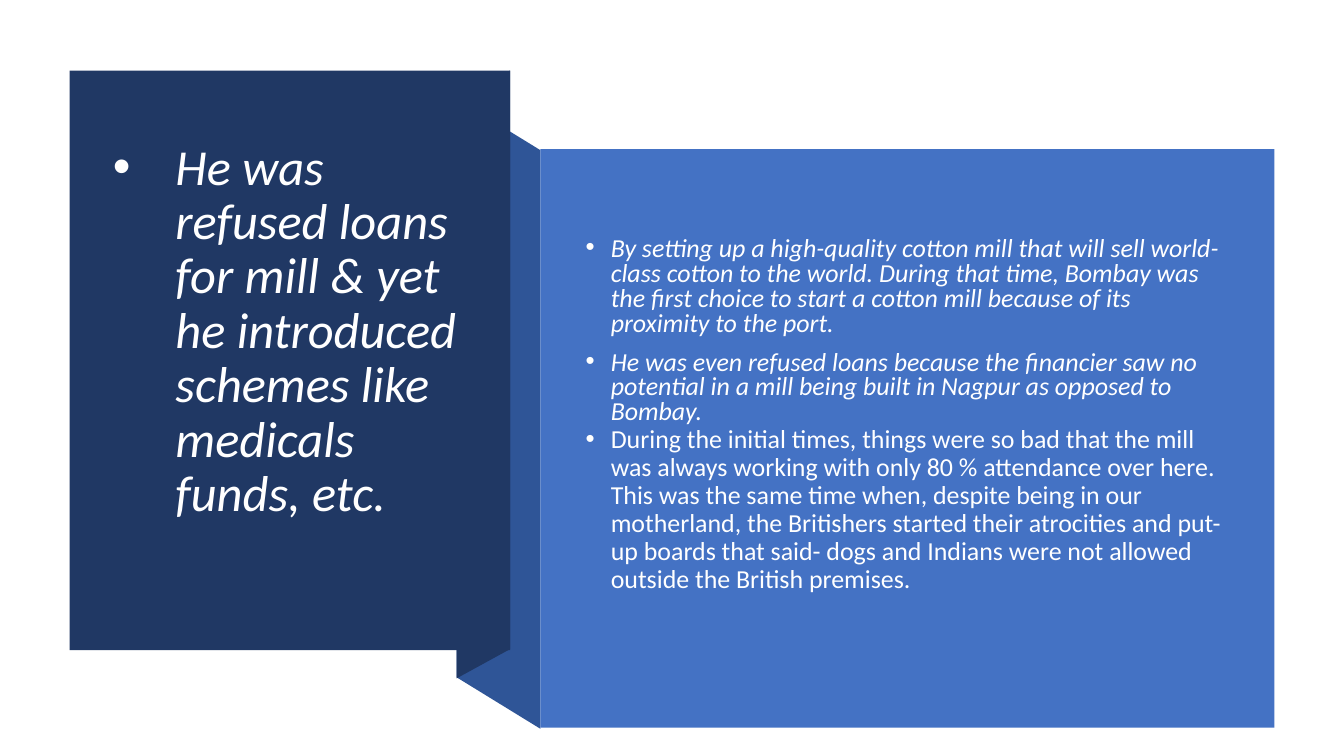
from pptx import Presentation
from pptx.dml.color import RGBColor
from pptx.enum.shapes import MSO_SHAPE
from pptx.enum.text import MSO_ANCHOR, MSO_AUTO_SIZE, PP_ALIGN
from pptx.oxml.ns import qn
from pptx.util import Inches, Pt
from lxml import etree

WHITE = RGBColor(0xFF, 0xFF, 0xFF)
NAVY = RGBColor(0x20, 0x38, 0x64)
FOLD_BLUE = RGBColor(0x2F, 0x55, 0x97)
PANEL_BLUE = RGBColor(0x44, 0x72, 0xC4)

HEADING = "He was refused loans for mill & yet he introduced schemes like medicals funds, etc."
POINTS = [
    ("By setting up a high-quality cotton mill that will sell world-class cotton to the world. "
     "During that time, Bombay was the first choice to start a cotton mill because of its "
     "proximity to the port.", True, 0.8, 0),
    ("He was even refused loans because the financier saw no potential in a mill being built "
     "in Nagpur as opposed to Bombay.", True, 0.8, 10),
    ("During the initial times, things were so bad that the mill was always working with only "
     "80 % attendance over here. This was the same time when, despite being in our motherland, "
     "the Britishers started their atrocities and put- up boards that said- dogs and Indians "
     "were not allowed outside the British premises.", False, 0.9, 0),
]


def paint(shape, color):
    shape.shadow.inherit = False
    shape.fill.solid()
    shape.fill.fore_color.rgb = color
    shape.line.fill.background()


def add_panel(page, left, top, width, height, color):
    panel = page.shapes.add_shape(
        MSO_SHAPE.RECTANGLE, Inches(left), Inches(top), Inches(width), Inches(height))
    paint(panel, color)


def add_fold(page, left, top, width, height, left_drop, right_drop, color):
    slope = max(left_drop, right_drop)
    side = height - slope
    right = left + width
    corners = [(right, top + right_drop), (right, top + right_drop + side),
               (left, top + left_drop + side), (left, top + left_drop)]
    points = [(Inches(x), Inches(y)) for x, y in corners]
    builder = page.shapes.build_freeform(*points[0])
    builder.add_line_segments(points[1:], close=True)
    paint(builder.convert_to_shape(), color)


def place_text(box, left, top, width, height, bottom_inset):
    box.left, box.top = Inches(left), Inches(top)
    box.width, box.height = Inches(width), Inches(height)
    frame = box.text_frame
    frame.word_wrap = True
    frame.auto_size = MSO_AUTO_SIZE.NONE
    frame.vertical_anchor = MSO_ANCHOR.MIDDLE
    frame.margin_bottom = Inches(bottom_inset)
    return frame


def write_bullet(para, text, size, indent, italic, line_spacing, space_before=0):
    para.alignment = PP_ALIGN.LEFT
    para.line_spacing = line_spacing
    para.space_before = Pt(space_before)
    para.space_after = Pt(0)
    props = para._p.get_or_add_pPr()
    props.set("marL", str(Inches(indent)))
    props.set("indent", str(-Inches(indent)))
    etree.SubElement(props, qn("a:buFont")).set("typeface", "Arial")
    etree.SubElement(props, qn("a:buChar")).set("char", "•")
    span = para.add_run()
    span.text = text
    span.font.name = "Calibri"
    span.font.size = Pt(size)
    span.font.italic = italic
    span.font.color.rgb = WHITE


def add_heading_region(page, left, top, width, height):
    right = left + width
    add_fold(page, right - 0.53, top + 0.28, 0.83, 6.25, 0, 0.51, FOLD_BLUE)
    add_fold(page, right - 0.53, top, 0.53, 6.03, 0.29, 0, NAVY)
    add_panel(page, left, top, width, height, NAVY)
    title = page.shapes.title
    page.shapes._spTree.append(title._element)
    frame = place_text(title, left + 0.33, top + 0.37, width - 0.66, height - 0.76, 0.59)
    write_bullet(frame.paragraphs[0], HEADING, 36, 0.62, True, 0.9)


def add_points_region(page, left, top, width, height):
    add_panel(page, left, top, width, height, PANEL_BLUE)
    box = page.shapes.add_textbox(0, 0, 0, 0)
    frame = place_text(box, left + 0.35, top + 0.4, width - 0.77, height - 1, 0.3)
    for index, (text, italic, line_spacing, space_before) in enumerate(POINTS):
        para = frame.add_paragraph() if index else frame.paragraphs[0]
        write_bullet(para, text, 18.5, 0.25, italic, line_spacing, space_before)


def main():
    deck = Presentation()
    deck.slide_width, deck.slide_height = Inches(13.33), Inches(7.5)
    page = deck.slides.add_slide(deck.slide_layouts[5])
    add_heading_region(page, 0.69, 0.7, 4.37, 5.75)
    add_points_region(page, 5.36, 1.48, 7.28, 5.74)
    deck.save("out.pptx")


if __name__ == "__main__":
    main()
